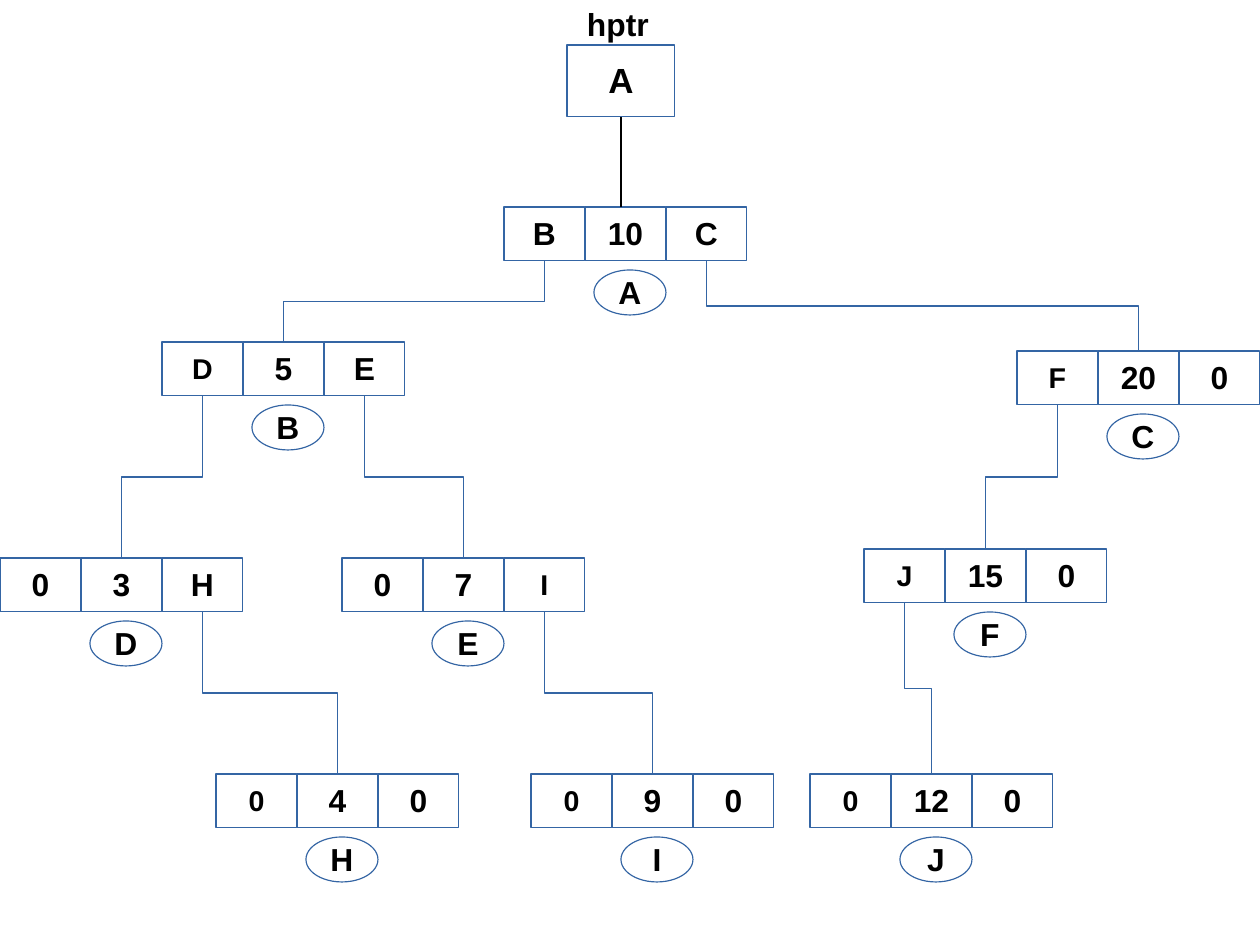
"""Draws a binary search tree with its node addresses on one slide."""
from lxml.etree import SubElement
from pptx import Presentation
from pptx.dml.color import RGBColor
from pptx.enum.shapes import MSO_CONNECTOR, MSO_SHAPE
from pptx.enum.text import MSO_ANCHOR, PP_ALIGN
from pptx.oxml.ns import qn
from pptx.util import Pt

PX = 8000
COLORS = {"fill": "FFFFFF", "outline": "3465A4", "ink": "000000"}
CELL_W, CELL_H = 81, 54
BOTTOM, TOP = 2, 0
EMPTY = "0"

TREE = {
    "A": (504, 207, ("B", "10", "C"), (20, 20, 20)),
    "B": (162, 342, ("D", "5", "E"), (18, 20, 20)),
    "C": (1017, 351, ("F", "20", EMPTY), (18, 20, 20)),
    "D": (0, 558, (EMPTY, "3", "H"), (20, 20, 20)),
    "E": (342, 558, (EMPTY, "7", "I"), (20, 20, 18)),
    "H": (216, 774, (EMPTY, "4", EMPTY), (18, 20, 20)),
    "I": (531, 774, (EMPTY, "9", EMPTY), (18, 20, 20)),
    "F": (864, 549, ("J", "15", EMPTY), (18, 20, 20)),
    "J": (810, 774, (EMPTY, "12", EMPTY), (18, 20, 20)),
}


class TreeSlide:
    def __init__(self, slide):
        self.shapes = slide.shapes

    def color(self, name):
        return RGBColor.from_string(COLORS[name])

    def set_text(self, sp, text, size, align):
        tf = sp.text_frame
        tf.word_wrap = False
        tf.margin_left = tf.margin_right = 11 * PX
        tf.margin_top = (8 if size >= 20 else 7) * PX
        tf.margin_bottom = 6 * PX
        p = tf.paragraphs[0]
        p.text = text
        p.alignment = align
        p.line_spacing = 0.94
        p.font.name = "Arial"
        p.font.size = Pt(size)
        p.font.bold = True
        p.font.color.rgb = self.color("ink")

    def label(self, x, y, w, h, text, size):
        sp = self.shapes.add_textbox(x * PX, y * PX, w * PX, h * PX)
        self.set_text(sp, text, size, PP_ALIGN.LEFT)

    def box(self, x, y, w, h, text, size=20, kind=MSO_SHAPE.RECTANGLE):
        sp = self.shapes.add_shape(kind, x * PX, y * PX, w * PX, h * PX)
        sp.shadow.inherit = False
        sp.fill.solid()
        sp.fill.fore_color.rgb = self.color("fill")
        sp.line.color.rgb = self.color("outline")
        sp.line.width = Pt(0.75)
        self.set_text(sp, text, size, PP_ALIGN.CENTER)
        sp.text_frame.vertical_anchor = MSO_ANCHOR.MIDDLE
        return sp

    def node(self, name, x, y, texts, sizes):
        cells = [self.box(x + i * CELL_W, y, CELL_W, CELL_H, text, size)
                 for i, (text, size) in enumerate(zip(texts, sizes))]
        self.box(x + 90, y + 63, 72, 45, name, kind=MSO_SHAPE.OVAL)
        return cells

    def connector(self, kind, x1, y1, x2, y2, color):
        cxn = self.shapes.add_connector(kind, x1, y1, x2, y2)
        cxn.line.color.rgb = self.color(color)
        cxn.line.width = Pt(0.75)
        SubElement(cxn._element.spPr, qn("a:effectLst"))
        return cxn

    def drop(self, parent, child):
        x, y = parent.left + parent.width // 2, parent.top + parent.height
        cxn = self.connector(MSO_CONNECTOR.STRAIGHT, x, y, x, child.top, "ink")
        cxn.begin_connect(parent, BOTTOM)

    def branch(self, parent, child):
        x1, y1 = parent.left + parent.width // 2, parent.top + parent.height
        x2, y2 = child.left + child.width // 2, child.top
        cxn = self.connector(MSO_CONNECTOR.ELBOW, x1, y1, x2, y2, "outline")
        cxn.begin_connect(parent, BOTTOM)
        cxn.end_connect(child, TOP)
        cxn.width, cxn.height = y2 - y1, abs(x2 - x1)
        cxn.left = (x1 + x2 - cxn.width) // 2
        cxn.top = (y1 + y2 - cxn.height) // 2
        rightward = x2 > x1
        xfrm = cxn._element.spPr.find(qn("a:xfrm"))
        xfrm.set("rot", str((270 if rightward else 90) * 60000))
        xfrm.set("flipH", "1" if rightward else "0")


def main():
    prs = Presentation()
    prs.slide_width, prs.slide_height = 1260 * PX, 945 * PX
    s = TreeSlide(prs.slides.add_slide(prs.slide_layouts[6]))

    nodes = {name: s.node(name, *data) for name, data in TREE.items()}
    head = s.box(567, 45, 108, 72, "A", 22)
    s.label(576, 0, 85, 47, "hptr", 20)

    s.drop(head, nodes["A"][1])
    for cells in nodes.values():
        for cell in (cells[0], cells[2]):
            target = cell.text_frame.text
            if target != EMPTY:
                s.branch(cell, nodes[target][1])

    prs.save("out.pptx")


if __name__ == "__main__":
    main()
